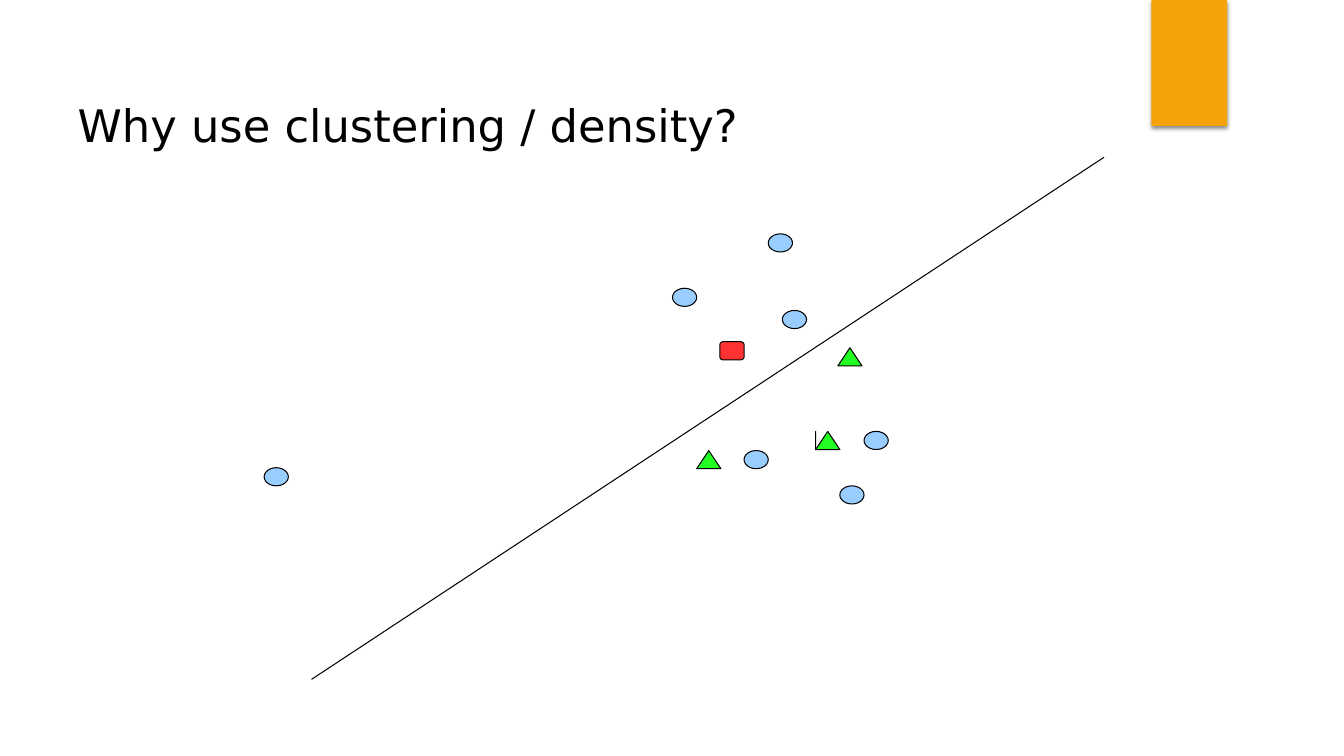
import lxml.etree
import pptx
import pptx.dml.color
import pptx.enum.shapes
import pptx.enum.text
import pptx.oxml.ns
import pptx.util

Inches = pptx.util.Inches
Pt = pptx.util.Pt
SHAPES = pptx.enum.shapes.MSO_SHAPE
qn = pptx.oxml.ns.qn

TITLE = "Why use clustering / density?"
FONT = "DejaVu Sans"
COLORS = {
    "black": "000000",
    "tab": "F5A408",
    "blue": "99CCFF",
    "red": "FF3333",
    "pink": "FF3366",
    "green": "23FF23",
}
MARK_WIDTH, MARK_HEIGHT = 0.24, 0.18
BOUNDARY = ((3.09, 6.74), (10.95, 1.56))
LOWER_CIRCLES = [(7.38, 4.47), (8.57, 4.28), (8.33, 4.82)]
UPPER_CIRCLES = [(6.67, 2.86), (2.62, 4.64), (7.62, 2.32), (7.76, 3.08)]
SQUARES = [(7.14, 3.39)]
SLIVERS = [(8.09, 4.28)]
TRIANGLES = [(6.91, 4.47), (8.09, 4.28), (8.31, 3.45)]
MARK_GROUPS = [
    (SHAPES.OVAL, "blue", MARK_WIDTH, UPPER_CIRCLES),
    (SHAPES.ROUNDED_RECTANGLE, "red", MARK_WIDTH, SQUARES),
    (SHAPES.ISOSCELES_TRIANGLE, "pink", 0, SLIVERS),
    (SHAPES.ISOSCELES_TRIANGLE, "green", MARK_WIDTH, TRIANGLES),
]


def color(name):
    return pptx.dml.color.RGBColor.from_string(COLORS[name])


def add_filled(slide, kind, fill, left, top, width, height):
    shape = slide.shapes.add_shape(
        kind, Inches(left), Inches(top), Inches(width), Inches(height)
    )
    shape.shadow.inherit = False
    shape.fill.solid()
    shape.fill.fore_color.rgb = color(fill)
    return shape


def add_outline(line):
    line.color.rgb = color("black")
    line.width = Pt(0.75)


def add_marks(slide, kind, fill, width, positions):
    for left, top in positions:
        mark = add_filled(slide, kind, fill, left, top, width, MARK_HEIGHT)
        add_outline(mark.line)


def add_tab(slide):
    tab = add_filled(slide, SHAPES.RECTANGLE, "tab", 11.42, 0, 0.75, 1.25)
    tab.line.fill.background()
    effects = tab._element.spPr.find(qn("a:effectLst"))
    shadow = lxml.etree.SubElement(
        effects,
        qn("a:outerShdw"),
        blurRad=str(Pt(3)),
        dist=str(Pt(2)),
        dir="5400000",
        rotWithShape="0",
    )
    shade = lxml.etree.SubElement(shadow, qn("a:srgbClr"), val=COLORS["black"])
    lxml.etree.SubElement(shade, qn("a:alpha"), val="45000")
    slide.shapes._spTree.insert(2, tab._element)


def add_title(slide):
    title = slide.shapes.title
    title.left, title.top = Inches(0.67), Inches(0.3)
    title.width, title.height = Inches(12), Inches(1.25)
    frame = title.text_frame
    frame.word_wrap = True
    frame.vertical_anchor = pptx.enum.text.MSO_ANCHOR.BOTTOM
    frame.margin_left = frame.margin_right = Inches(0.1)
    frame.margin_top, frame.margin_bottom = Inches(0.04), Inches(0.05)
    paragraph = frame.paragraphs[0]
    paragraph.alignment = pptx.enum.text.PP_ALIGN.LEFT
    run = paragraph.add_run()
    run.text = TITLE
    run.font.name = FONT
    run.font.size = Pt(32)
    run.font.color.rgb = color("black")


def add_boundary(slide):
    (start_x, start_y), (end_x, end_y) = BOUNDARY
    boundary = slide.shapes.add_connector(
        pptx.enum.shapes.MSO_CONNECTOR.STRAIGHT,
        Inches(start_x), Inches(start_y), Inches(end_x), Inches(end_y),
    )
    add_outline(boundary.line)
    lxml.etree.SubElement(boundary._element.spPr, qn("a:effectLst"))


def main():
    presentation = pptx.Presentation()
    presentation.slide_width = Inches(13.33)
    presentation.slide_height = Inches(7.5)
    slide = presentation.slides.add_slide(presentation.slide_layouts[5])
    add_title(slide)
    add_tab(slide)
    add_marks(slide, SHAPES.OVAL, "blue", MARK_WIDTH, LOWER_CIRCLES)
    add_boundary(slide)
    for group in MARK_GROUPS:
        add_marks(slide, *group)
    presentation.save("out.pptx")


if __name__ == "__main__":
    main()
